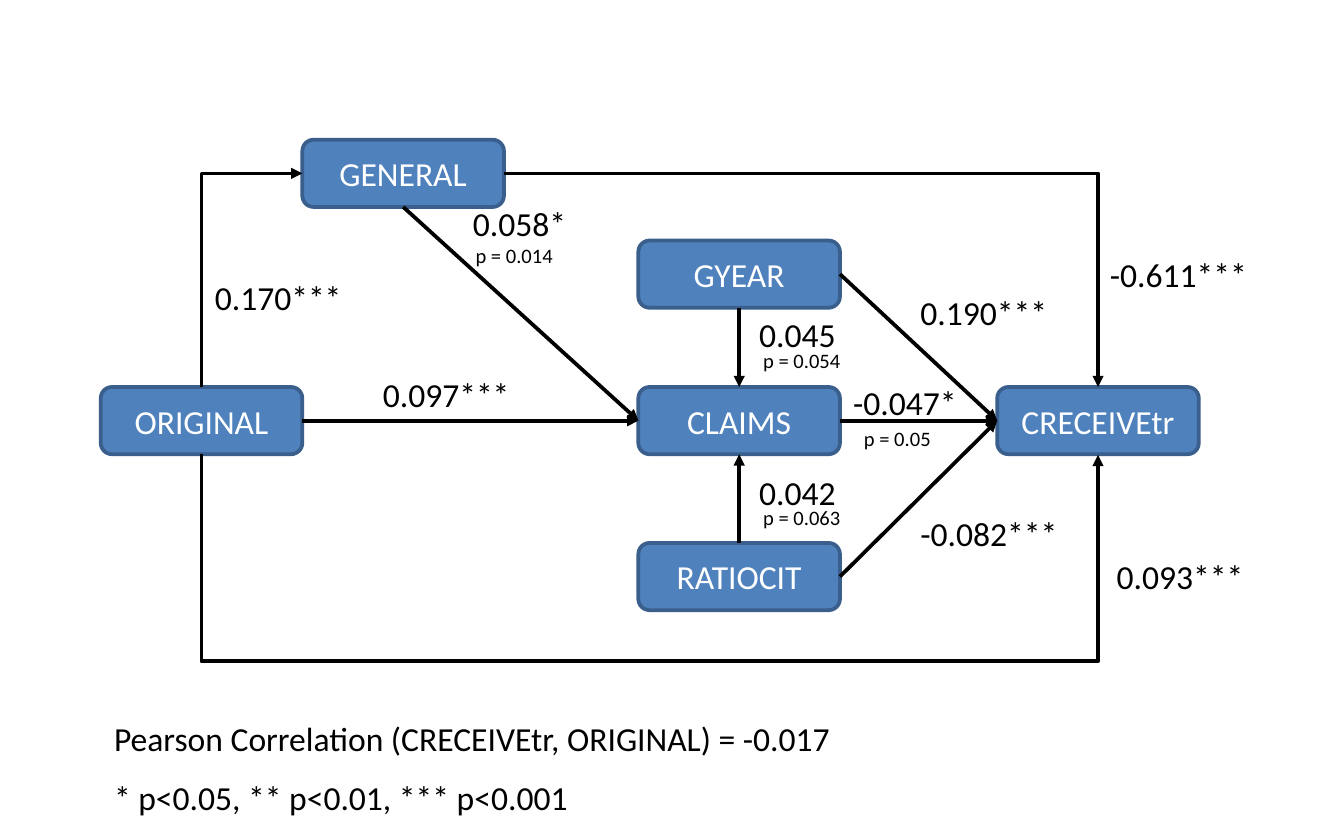
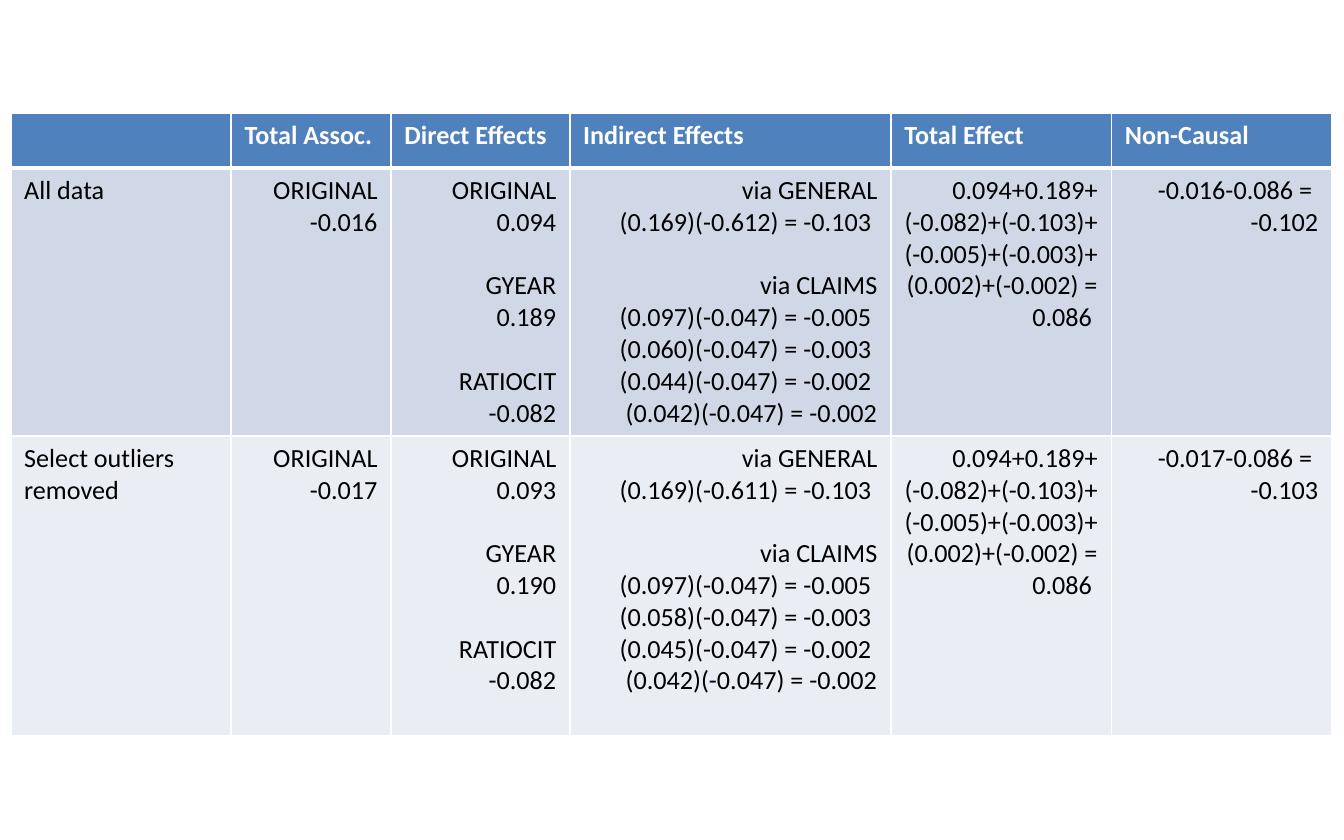
from pptx import Presentation
from pptx import util as u
from pptx.dml.color import RGBColor
from pptx.enum import shapes, text
from pptx.oxml import ns, parse_xml

Inches, Pt = u.Inches, u.Pt
FONT = "Calibri"
COLORS = {"blue": "4F81BD", "edge": "3A5F8C", "ink": "000000", "white": "FFFFFF",
          "band": "D0D8E8", "pale": "E9EDF4"}
NODE_W, NODE_H = 1.5, 0.5
LINE_GAP = 17  # one empty line of 14 pt text


def rgb(name):
    """Look up a named colour."""
    return RGBColor.from_string(COLORS[name])


def write(paragraph, words, size=18, color="ink", bold=False, align="LEFT", before=0):
    """Fill a paragraph; a vertical tab in the words is a line break."""
    paragraph.text = words
    paragraph.alignment = getattr(text.PP_ALIGN, align)
    paragraph.space_before = Pt(before)
    for run in paragraph.runs:
        font = run.font
        font.name, font.size, font.bold = FONT, Pt(size), bold
        font.color.rgb = rgb(color)


def add_label(slide, words, left, top, width, height, size=18):
    """Place a text box that grows with its text."""
    label = slide.shapes.add_textbox(Inches(left), Inches(top), Inches(width), Inches(height))
    label.text_frame.word_wrap = True
    label.text_frame.auto_size = text.MSO_AUTO_SIZE.SHAPE_TO_FIT_TEXT
    write(label.text_frame.paragraphs[0], words, size=size)


def add_node(slide, name, left, top):
    """Draw one variable as a rounded box."""
    node = slide.shapes.add_shape(shapes.MSO_SHAPE.ROUNDED_RECTANGLE, Inches(left),
                                  Inches(top), Inches(NODE_W), Inches(NODE_H))
    node.shadow.inherit = False
    node.fill.solid()
    node.fill.fore_color.rgb = rgb("blue")
    node.line.color.rgb = rgb("edge")
    node.line.width = Pt(2)
    node.text_frame.vertical_anchor = text.MSO_ANCHOR.MIDDLE
    write(node.text_frame.paragraphs[0], name, color="white", align="CENTER")


def add_arrow(slide, start, end, kind="STRAIGHT"):
    """Draw a black connector with an arrowhead at its end."""
    arrow = slide.shapes.add_connector(getattr(shapes.MSO_CONNECTOR, kind),
                                       *map(Inches, start + end))
    arrow.line.color.rgb = rgb("ink")
    arrow.line.width = Pt(2)
    line = arrow.line._ln
    line.append(parse_xml(f'<a:tailEnd {ns.nsdecls("a")} type="triangle"/>'))
    line.addnext(parse_xml(f'<a:effectLst {ns.nsdecls("a")}/>'))
    return arrow


def add_corner(slide, start, end):
    """Draw an arrow that runs across, then turns down."""
    arrow = add_arrow(slide, start, end, "ELBOW")
    geometry = arrow._element.spPr.find(ns.qn("a:prstGeom"))
    geometry.set("prst", "bentConnector2")
    return arrow


def add_upright(slide, start, end, drop=None):
    """Draw an arrow that leaves vertically: one corner up, or a U of the given drop."""
    (x1, y1), (x2, y2) = start, end
    rise, run = max(abs(y2 - y1), 0.01), x2 - x1
    left, top = (x1 + x2 - rise) / 2, (y1 + y2 - run) / 2
    arrow = add_corner(slide, (left, top), (left + rise, top + run))
    properties = arrow._element.spPr
    frame = properties.find(ns.qn("a:xfrm"))
    frame.set("rot", str(270 * 60000))
    if drop:
        frame.set("flipH", "1")
        geometry = properties.find(ns.qn("a:prstGeom"))
        geometry.set("prst", "bentConnector3")
        for guides in geometry.findall(ns.qn("a:avLst")):
            geometry.remove(guides)
        bend = round(drop / rise * 100000)
        geometry.append(parse_xml(f'<a:avLst {ns.nsdecls("a")}>'
                                  f'<a:gd name="adj1" fmla="val {bend}"/></a:avLst>'))


def path_diagram(slide, left, top):
    """Draw the path model from its top left corner."""
    nodes = {"CRECEIVEtr": (6.67, 1.84), "CLAIMS": (4, 1.84), "ORIGINAL": (0, 1.84),
             "GENERAL": (1.5, 0), "GYEAR": (4, 0.75), "RATIOCIT": (4, 3)}
    sides = {"left": (0, 0.5), "right": (1, 0.5), "top": (0.5, 0), "bottom": (0.5, 1)}

    def port(name, side):
        """Find the middle of one side of a node."""
        (x, y), (across, down) = nodes[name], sides[side]
        return left + x + across * NODE_W, top + y + down * NODE_H

    for name, (x, y) in nodes.items():
        add_node(slide, name, left + x, top + y)

    straight = [("CLAIMS", "right", "CRECEIVEtr", "left"),
                ("RATIOCIT", "right", "CRECEIVEtr", "left"),
                ("GYEAR", "right", "CRECEIVEtr", "left"),
                ("GENERAL", "bottom", "CLAIMS", "left"),
                ("ORIGINAL", "right", "CLAIMS", "left"),
                ("GYEAR", "bottom", "CLAIMS", "top"),
                ("RATIOCIT", "top", "CLAIMS", "bottom")]
    for cause, exit_side, effect, entry_side in straight:
        add_arrow(slide, port(cause, exit_side), port(effect, entry_side))
    add_corner(slide, port("GENERAL", "right"), port("CRECEIVEtr", "top"))
    add_upright(slide, port("ORIGINAL", "bottom"), port("CRECEIVEtr", "bottom"), drop=1.57)
    add_upright(slide, port("ORIGINAL", "top"), port("GENERAL", "left"))

    coefficients = [("0.170***", 0.75, 0.97), ("-0.611***", 7.41, 0.8),
                    ("0.058*", 2.67, 0.42), ("0.097***", 2, 1.69),
                    ("0.045", 4.8, 1.25), ("0.042", 4.8, 2.42),
                    ("-0.047*", 5.5, 1.75), ("0.190***", 6, 1.08),
                    ("-0.082***", 6, 2.73), ("0.093***", 7.46, 3.05)]
    for words, x, y in coefficients:
        add_label(slide, words, left + x, top + y, 1.3, 0.4)
    p_values = [("0.054", 4.83, 1.5), ("0.063", 4.83, 2.67),
                ("0.05", 5.58, 2.08), ("0.014", 2.69, 0.72)]
    for value, x, y in p_values:
        add_label(slide, f"p = {value}", left + x, top + y, 1, 0.29, size=11)


def diagram_notes(slide, left, top):
    """Write the correlation and the key to the stars."""
    add_label(slide, "Pearson Correlation (CRECEIVEtr, ORIGINAL) = -0.017", left, top, 6.08, 0.4)
    add_label(slide, "* p<0.05, ** p<0.01, *** p<0.001", left, top + 0.44, 4.25, 0.4)


def style_cell(cell, fill, top=1, bottom=1):
    """Give a cell white borders and a plain fill."""
    properties = cell._tc.get_or_add_tcPr()
    for side, width in (("L", 1), ("R", 1), ("T", top), ("B", bottom)):
        properties.append(parse_xml(
            f'<a:ln{side} {ns.nsdecls("a")} w="{Pt(width)}"><a:solidFill>'
            f'<a:srgbClr val="{COLORS["white"]}"/></a:solidFill></a:ln{side}>'))
    cell.fill.solid()
    cell.fill.fore_color.rgb = rgb(fill)


def fill_cell(cell, blocks, **look):
    """Write blocks of lines, with one line of space between blocks."""
    frame = cell.text_frame
    paragraph = frame.paragraphs[0]
    for b, block in enumerate(blocks):
        for n, words in enumerate(block):
            if b or n:
                paragraph = frame.add_paragraph()
            write(paragraph, words, size=14, before=LINE_GAP if b and not n else 0, **look)


def effects_row(name, total, direct, general, claims, non_causal):
    """Compose the cells of one data set."""
    variables = ("ORIGINAL", "GYEAR", "RATIOCIT")
    products = [f"({path})(-0.047) = {result}" for path, result in
                zip(claims, ("-0.005 ", "-0.003 ", "-0.002 ", "-0.002"))]
    return [[[name]],
            [["ORIGINAL", total]],
            list(zip(variables, direct)),
            [["via GENERAL", f"(0.169)({general}) = -0.103 "], ["via CLAIMS", *products]],
            [["0.094+0.189+\v(-0.082)+(-0.103)+\v(-0.005)+(-0.003)+\v"
              "(0.002)+(-0.002) = 0.086 "]],
            [[f"{total}-0.086 = \v{non_causal}"]]]


def effects_table(slide, left, top):
    """Build the table of direct and indirect effects."""
    widths, heights = (1.64, 1.19, 1.33, 2.39, 1.64, 1.64), (0.41, 1.98, 2.23)
    headings = ("", "Total Assoc.", "Direct Effects", "Indirect Effects",
                "Total Effect", "Non-Causal")
    rows = [effects_row("All data", "-0.016", ("0.094", "0.189", "-0.082"), "-0.612",
                        ("0.097", "0.060", "0.044", "0.042"), "-0.102"),
            effects_row("Select outliers removed", "-0.017", ("0.093", "0.190", "-0.082"),
                        "-0.611", ("0.097", "0.058", "0.045", "0.042"), "-0.103")]
    effects = slide.shapes.add_table(len(heights), len(widths), Inches(left), Inches(top),
                                     Inches(sum(widths)), Inches(sum(heights))).table
    for column, width in zip(effects.columns, widths):
        column.width = Inches(width)
    for row, height in zip(effects.rows, heights):
        row.height = Inches(height)

    for c, heading in enumerate(headings):
        style_cell(effects.cell(0, c), "blue", bottom=3)
        if heading:
            fill_cell(effects.cell(0, c), [[heading]], color="white", bold=True)
    for r, row in enumerate(rows, 1):
        for c, blocks in enumerate(row):
            style_cell(effects.cell(r, c), ("band", "pale")[r - 1], top=3 if r == 1 else 1)
            fill_cell(effects.cell(r, c), blocks, align="RIGHT" if c else "LEFT")


def main():
    """Build both slides."""
    deck = Presentation()
    deck.slide_width, deck.slide_height = Inches(10), Inches(6.25)
    blank = deck.slide_layouts[6]

    model = deck.slides.add_slide(blank)
    path_diagram(model, 0.75, 1.04)
    diagram_notes(model, 0.75, 5.29)

    effects_table(deck.slides.add_slide(blank), 0.08, 0.84)
    deck.save("out.pptx")


main()
